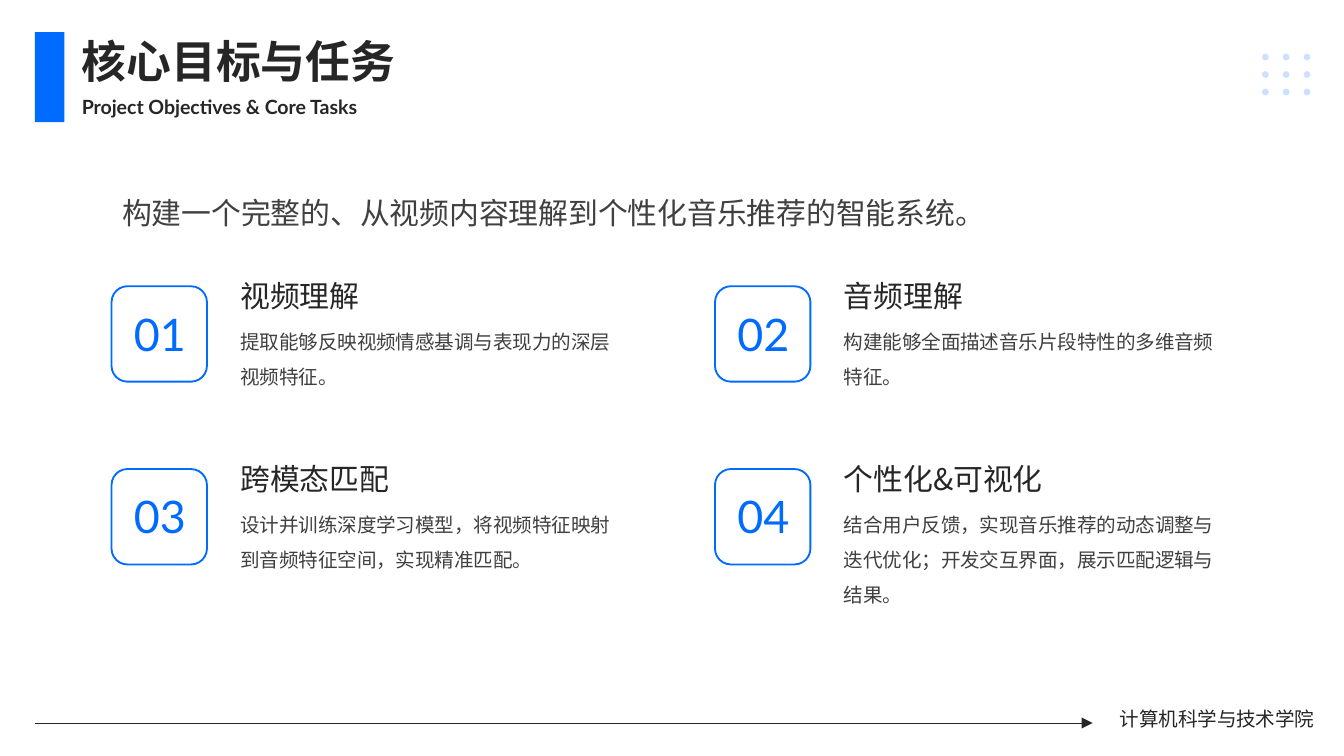
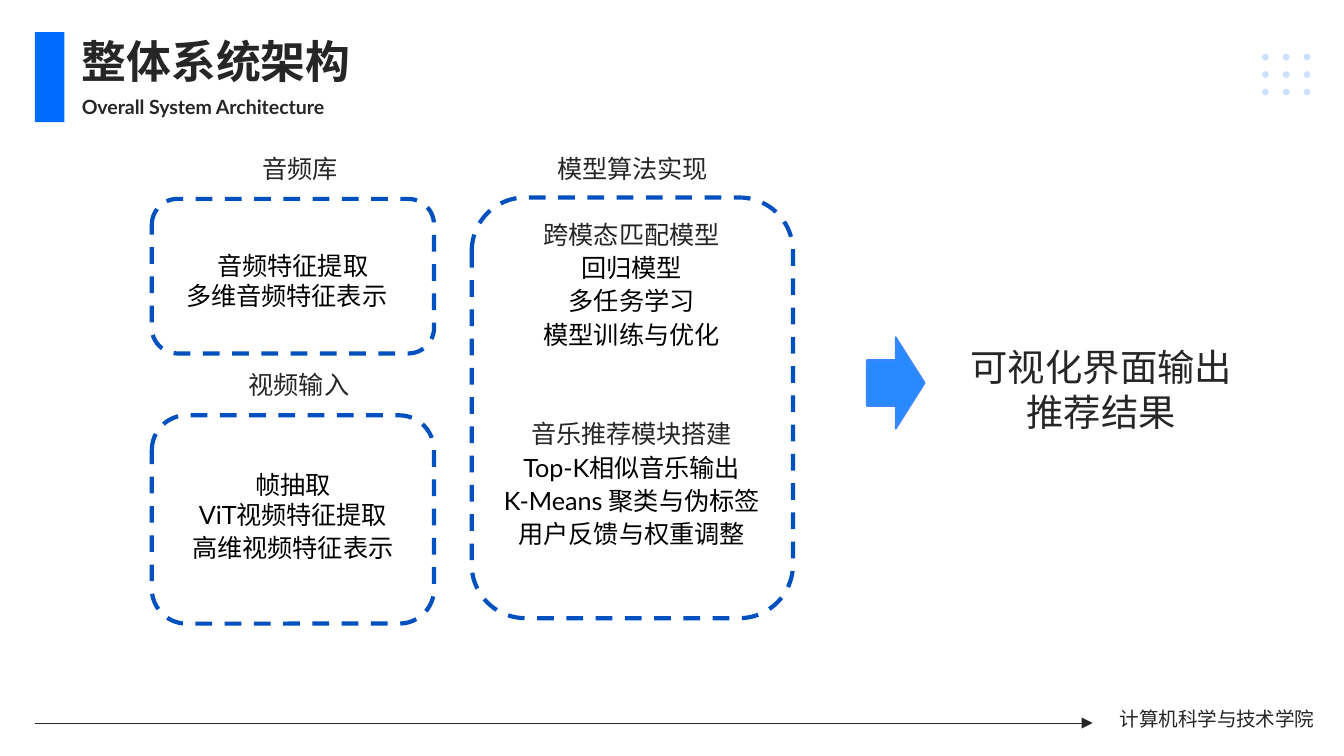
from dataclasses import dataclass
from itertools import product

from lxml.etree import SubElement
from pptx import Presentation
from pptx.dml.color import RGBColor
from pptx.enum.dml import MSO_LINE
from pptx.enum.shapes import MSO_CONNECTOR, MSO_SHAPE
from pptx.enum.text import MSO_ANCHOR, MSO_AUTO_SIZE, PP_ALIGN
from pptx.oxml.ns import qn
from pptx.util import Pt


@dataclass(frozen=True)
class Theme:
    blue: str = "006BFF"
    deep_blue: str = "0050BF"
    arrow_fill: str = "298AFF"
    arrow_line: str = "3A87FF"
    ink: str = "262626"
    body: str = "404040"
    black: str = "000000"
    white: str = "FFFFFF"
    font: str = "Lato"
    heading_font: str = "Noto Sans CJK SC"
    title_size: float = 24
    result_size: float = 20
    heading_size: float = 16
    label_size: float = 13.5
    small_size: float = 10.5


THEME = Theme()
CENTER, LEFT, RIGHT = PP_ALIGN.CENTER, PP_ALIGN.LEFT, PP_ALIGN.RIGHT

# Content
FOOTER = "计算机科学与技术学院"
GOALS = {
    "title": "核心目标与任务",
    "subtitle": "Project Objectives & Core Tasks",
    "summary": "构建一个完整的、从视频内容理解到个性化音乐推荐的智能系统。",
    "tasks": [
        ("视频理解", "提取能够反映视频情感基调与表现力的深层视频特征。"),
        ("音频理解", "构建能够全面描述音乐片段特性的多维音频特征。"),
        ("跨模态匹配", "设计并训练深度学习模型，将视频特征映射到音频特征空间，实现精准匹配。"),
        ("个性化&可视化", "结合用户反馈，实现音乐推荐的动态调整与迭代优化；"
                    "开发交互界面，展示匹配逻辑与结果。"),
    ],
}
# Each line of a module: text and its format where it differs
LOOSE = {"spacing": 1.1}
MODULE_HEAD = {"spacing": 1.1, "color": THEME.ink}
ARCHITECTURE = {
    "title": "整体系统架构",
    "subtitle": "Overall System Architecture",
    "result": "可视化界面输出推荐结果",
    "modules": [
        {"label": "音频库", "label_box": (87.84, 78.48, 146.16, 23.76),
         "frame": (81.36, 106.56, 151.2, 82.8),
         "text_box": (92.88, 128.88, 128.16, 44.64),
         "lines": [("音频特征提取", LOOSE), ("多维音频特征表示", {"align": LEFT})]},
        {"label": "视频输入", "label_box": (87.84, 194.4, 144.72, 23.76),
         "frame": (81.36, 222.48, 151.2, 111.6),
         "text_box": (92.88, 247.68, 128.16, 64.8),
         "lines": [("帧抽取", {}), ("ViT视频特征提取", {}), ("高维视频特征表示", LOOSE)]},
        {"label": "模型算法实现", "label_box": (252.72, 78.48, 172.08, 23.76),
         "frame": (252.72, 105.84, 172.08, 225.36),
         "text_box": (261.36, 112.32, 154.08, 200.88),
         "lines": [("跨模态匹配模型", MODULE_HEAD), ("回归模型", LOOSE),
                   ("多任务学习", LOOSE), ("模型训练与优化", LOOSE),
                   ("音乐推荐模块搭建", {**MODULE_HEAD, "before": 35.6}),
                   ("Top-K相似音乐输出", LOOSE), ("K-Means 聚类与伪标签", LOOSE),
                   ("用户反馈与权重调整", LOOSE)]},
    ],
}


# Drawing helpers
def points(box):
    return [Pt(value) for value in box]


def format_paragraph(paragraph, text, *, size=THEME.small_size, color=THEME.ink,
                     font=THEME.font, bold=False, align=LEFT, spacing=None, before=0):
    run = paragraph.add_run()
    run.text = text
    run.font.size, run.font.bold, run.font.name = Pt(size), bold, font
    run.font.color.rgb = RGBColor.from_string(color)
    SubElement(run.font._element, qn("a:ea"), typeface=font)
    paragraph.alignment = align
    if spacing:
        paragraph.line_spacing = spacing
    if before:
        paragraph.space_before = Pt(before)


def add_text(slide, box, content, *, grow=True, **style):
    """content is one string, or a list of (text, own format) lines."""
    frame = slide.shapes.add_textbox(*points(box)).text_frame
    frame.word_wrap = True
    frame.vertical_anchor = MSO_ANCHOR.TOP
    frame.auto_size = MSO_AUTO_SIZE.SHAPE_TO_FIT_TEXT if grow else MSO_AUTO_SIZE.NONE
    lines = [(content, {})] if isinstance(content, str) else content
    for index, (text, own_style) in enumerate(lines):
        paragraph = frame.add_paragraph() if index else frame.paragraphs[0]
        format_paragraph(paragraph, text, **{**style, **own_style})


def add_shape(slide, kind, box, *, fill=None, line=None, width=1, dash=None, alpha=None):
    shape = slide.shapes.add_shape(kind, *points(box))
    shape.shadow.inherit = False
    if fill:
        shape.fill.solid()
        shape.fill.fore_color.rgb = RGBColor.from_string(fill)
    else:
        shape.fill.background()
    if alpha:
        color = shape._element.spPr.find(qn("a:solidFill"))[0]
        SubElement(color, qn("a:alpha"), val=str(alpha * 1000))
    if line:
        shape.line.color.rgb = RGBColor.from_string(line)
        shape.line.width = Pt(width)
        if dash:
            shape.line.dash_style = dash
    else:
        shape.line.fill.background()


def add_arrow_line(slide, start, end):
    connector = slide.shapes.add_connector(MSO_CONNECTOR.STRAIGHT, *points(start + end))
    connector.line.color.rgb = RGBColor.from_string(THEME.ink)
    connector.line.width = Pt(0.5)
    SubElement(connector.line._get_or_add_ln(), qn("a:tailEnd"), type="triangle")
    SubElement(connector._element.spPr, qn("a:effectLst"))


# Shared frame: dot grid, footer, title and accent bar
def add_framed_slide(presentation, content):
    slide = presentation.slides.add_slide(presentation.slide_layouts[6])
    for column, row in product(range(3), repeat=2):
        add_shape(slide, MSO_SHAPE.OVAL,
                  (676.08 + column * 11.16, 28.8 + row * 9.36, 3.6, 3.6),
                  fill=THEME.blue, alpha=20)
    add_arrow_line(slide, (18.72, 387.36), (585.36, 387.36))
    add_text(slide, (565.2, 375.12, 146.16, 20.16), FOOTER, align=RIGHT)
    add_text(slide, (36.72, 14.4, 234, 36), content["title"],
             size=THEME.title_size, bold=True)
    add_text(slide, (36.72, 47.52, 267.84, 20.16), content["subtitle"], bold=True)
    add_shape(slide, MSO_SHAPE.RECTANGLE, (18.72, 17.28, 15.84, 48.24), fill=THEME.blue)
    return slide


# Slide 1: numbered tasks in a two-column grid
def build_goals(presentation):
    slide = add_framed_slide(presentation, GOALS)
    add_text(slide, (58.32, 81.36, 602.64, 58.32), GOALS["summary"], grow=False,
             size=THEME.heading_size, color=THEME.body, spacing=2)
    for index, (heading, description) in enumerate(GOALS["tasks"]):
        row, column = divmod(index, 2)
        left, top = 59.76 + column * 323.28, 153.36 + row * 97.92
        add_shape(slide, MSO_SHAPE.ROUNDED_RECTANGLE, (left, top, 51.12, 51.12),
                  fill=THEME.white, line=THEME.blue)
        add_text(slide, (left + 0.72, top + 7.2, 50.4, 36), f"{index + 1:02}",
                 size=THEME.title_size, color=THEME.blue, align=CENTER)
        add_text(slide, (left + 61.92, top - 7.92, 133.92, 26.64), heading,
                 size=THEME.heading_size, font=THEME.heading_font)
        add_text(slide, (left + 61.92, top + 13.68, 213.84, 45.36), description,
                 color=THEME.body, spacing=1.5)


# Slide 2: dashed modules leading to the result
def build_architecture(presentation):
    slide = add_framed_slide(presentation, ARCHITECTURE)
    for module in ARCHITECTURE["modules"]:
        add_shape(slide, MSO_SHAPE.ROUNDED_RECTANGLE, module["frame"],
                  line=THEME.deep_blue, width=2.25, dash=MSO_LINE.DASH)
        add_text(slide, module["text_box"], module["lines"], grow=False,
                 size=THEME.label_size, color=THEME.black, align=CENTER)
        add_text(slide, module["label_box"], module["label"],
                 size=THEME.label_size, align=CENTER)
    add_shape(slide, MSO_SHAPE.RIGHT_ARROW, (464.4, 180.72, 30.96, 48.96),
              fill=THEME.arrow_fill, line=THEME.arrow_line)
    add_text(slide, (504, 180.72, 172.08, 55.44), ARCHITECTURE["result"],
             size=THEME.result_size, align=CENTER)


def main():
    presentation = Presentation()
    presentation.slide_width, presentation.slide_height = Pt(720), Pt(405)
    build_goals(presentation)
    build_architecture(presentation)
    presentation.save("out.pptx")


if __name__ == "__main__":
    main()
